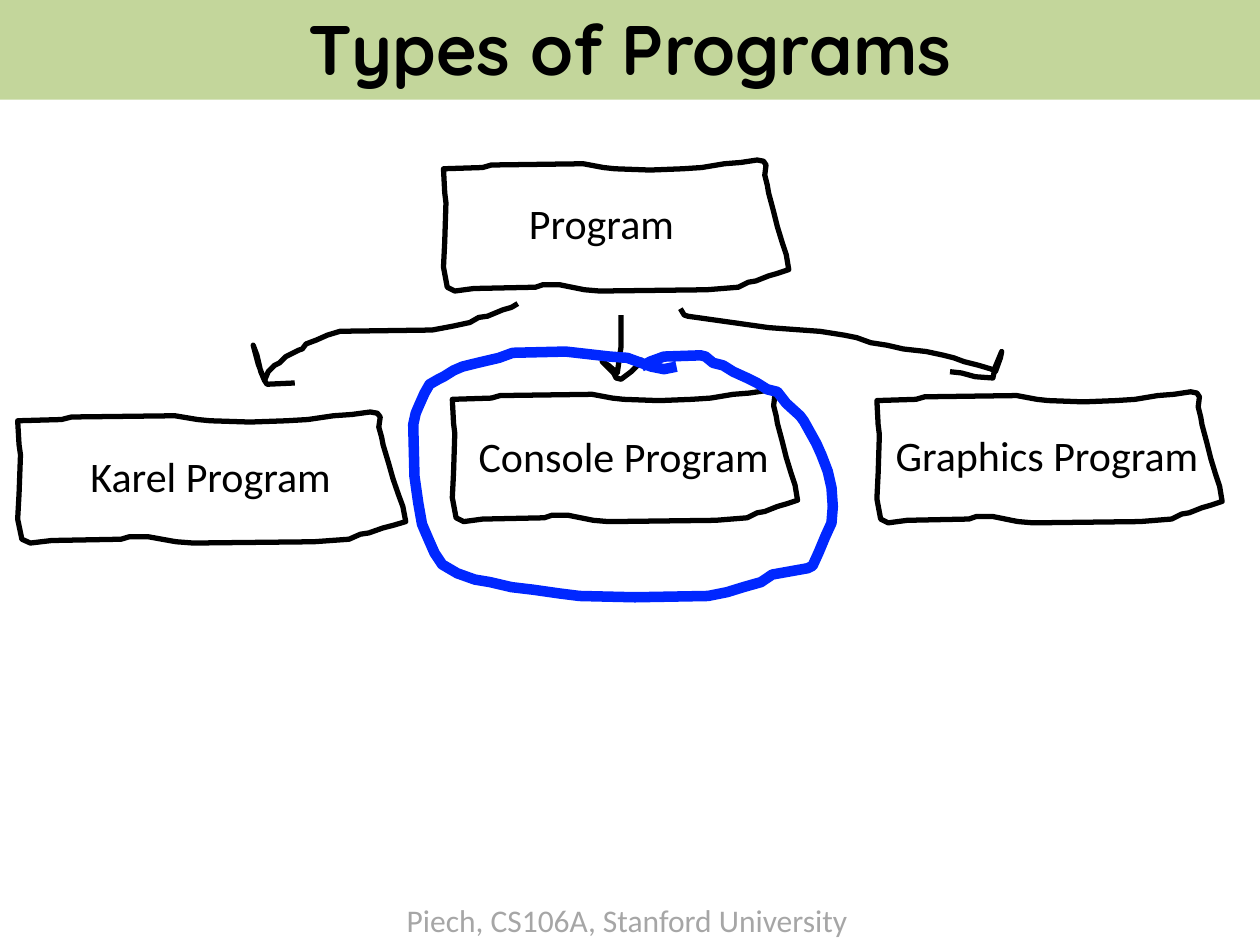
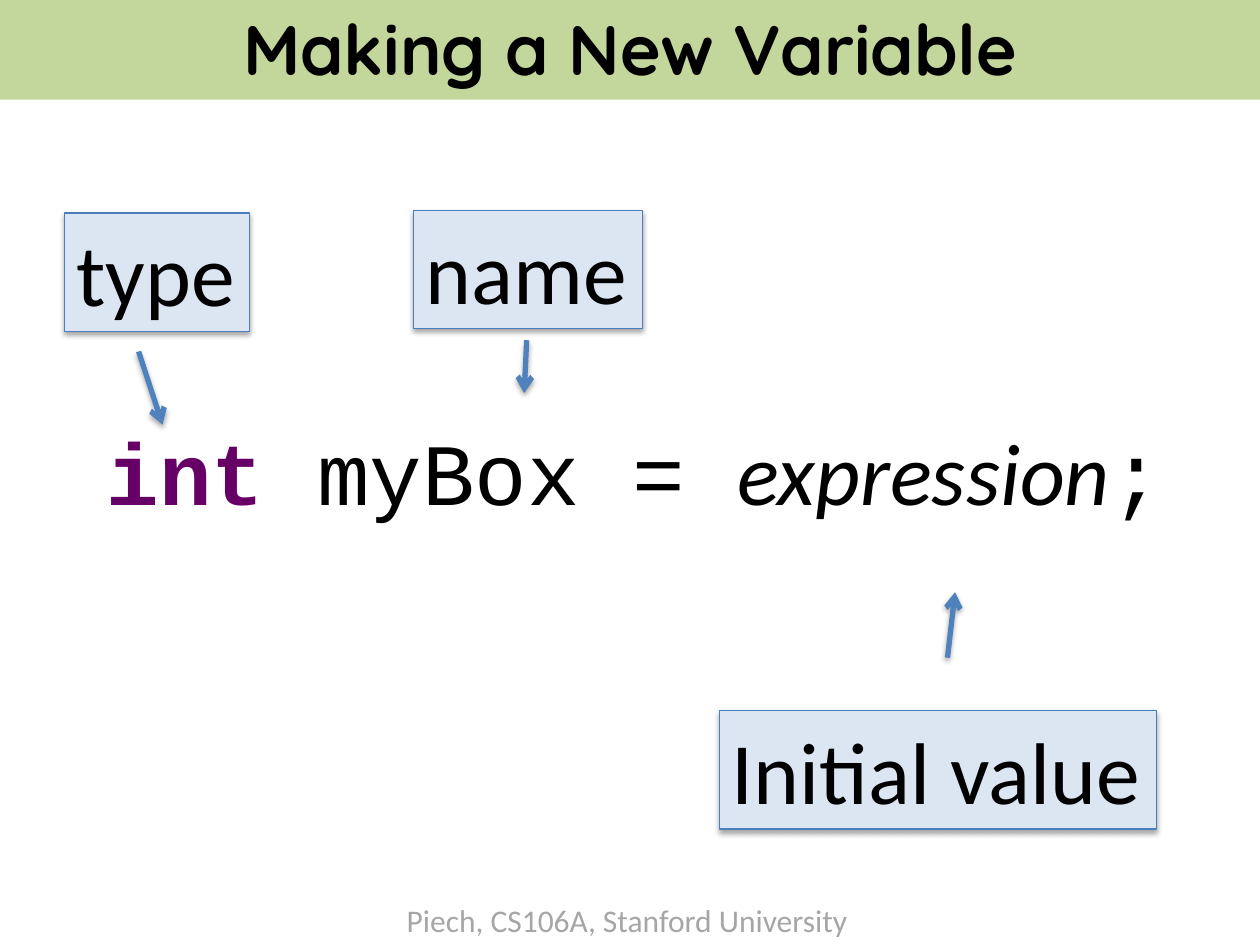
from lxml import etree
from pptx import Presentation
from pptx.dml.color import RGBColor
from pptx.enum.shapes import MSO_CONNECTOR, MSO_SHAPE
from pptx.enum.text import MSO_ANCHOR, MSO_AUTO_SIZE, PP_ALIGN
from pptx.oxml.ns import qn
from pptx.util import Inches, Pt

STRAIGHT = MSO_CONNECTOR.STRAIGHT
RECTANGLE = MSO_SHAPE.RECTANGLE
MIDDLE, TOP = MSO_ANCHOR.MIDDLE, MSO_ANCHOR.TOP
CENTER, LEFT = PP_ALIGN.CENTER, PP_ALIGN.LEFT
GROW, FIXED = MSO_AUTO_SIZE.SHAPE_TO_FIT_TEXT, MSO_AUTO_SIZE.NONE

COLORS = {
    "band": "C3D69B",
    "ink": "000000",
    "footer": "A6A6A6",
    "highlight": "0027FF",
    "keyword": "660066",
    "callout": "DCE6F2",
    "callout_edge": "4B7EBC",
    "arrow": "4F81BD",
}
RGB = {name: RGBColor.from_string(value) for name, value in COLORS.items()}
BODY, CODE, HEADING = "Calibri", "Courier New", "Quicksand"


def write_line(shape, runs, size, frame_format):
    """Fill a shape with one paragraph; runs are (text, font, colour, styles)."""
    frame = shape.text_frame
    for attribute, value in frame_format.items():
        setattr(frame, attribute, value)
    paragraph = frame.paragraphs[0]
    paragraph.alignment = CENTER if frame_format is TITLE_FRAME else LEFT
    for text, font_name, color, styles in runs:
        run = paragraph.add_run()
        run.text = text
        run.font.color.rgb = RGB[color]
        font_format = {"name": font_name, "size": Pt(size), **styles}
        for attribute, value in font_format.items():
            setattr(run.font, attribute, value)


def draw_stroke(slide, points, color, width, close=False):
    """Draw a pen stroke through points given in inches."""
    start, *rest = [(Inches(x), Inches(y)) for x, y in points]
    builder = slide.shapes.build_freeform(*start)
    builder.add_line_segments(rest, close=close)
    stroke = builder.convert_to_shape()
    stroke.shadow.inherit = False
    stroke.fill.background()
    stroke.line.color.rgb = RGB[color]
    stroke.line.width = Pt(width)


TITLE_FRAME = {"vertical_anchor": MIDDLE, "word_wrap": True, "auto_size": FIXED}
LABEL_FRAME = {"vertical_anchor": TOP, "word_wrap": False, "auto_size": GROW}

prs = Presentation()
prs.slide_width, prs.slide_height = Inches(10), Inches(7.5)

# Shared title band and footer
slides = []
for heading in ("Types of Programs", "Making a New Variable"):
    slide = prs.slides.add_slide(prs.slide_layouts[5])
    title = slide.shapes.title
    title.left, title.top = Inches(0), Inches(-0.03)
    title.width, title.height = Inches(10), Inches(0.82)
    title.fill.solid()
    title.fill.fore_color.rgb = RGB["band"]
    write_line(title, [(heading, HEADING, "ink", {"bold": True})], 40, TITLE_FRAME)
    footer = slide.shapes.add_textbox(
        Inches(3.13), Inches(7.1), Inches(3.74), Inches(0.4))
    write_line(footer, [("Piech, CS106A, Stanford University", BODY, "footer", {})],
               18, LABEL_FRAME)
    slides.append(slide)
types_slide, variable_slide = slides

# Types of Programs: hand-drawn class boxes, all sharing one outline
OUTLINE_WIDTH = 2.74
BOX_OUTLINE = [
    (1.9, 0.07), (1.64, 0.08), (1.36, 0.07), (1.27, 0.06), (1.11, 0.03),
    (0.38, 0.04), (0.31, 0.06), (0, 0.07), (0.01, 0.26), (0.02, 0.34),
    (0.01, 0.65), (0, 0.85), (0.03, 1.01), (0.09, 1.04), (0.24, 1.02),
    (0.73, 1.01), (0.79, 0.99), (0.92, 0.99), (1.07, 1.02), (1.12, 1.03),
    (1.24, 1.04), (2.09, 1.03), (2.34, 1.01), (2.42, 0.97), (2.48, 0.96),
    (2.58, 0.92), (2.65, 0.9), (2.74, 0.87), (2.72, 0.75), (2.69, 0.66),
    (2.65, 0.53), (2.62, 0.41), (2.58, 0.26), (2.57, 0.2), (2.55, 0.12),
    (2.56, 0.04), (2.54, 0.01), (2.49, 0), (2.36, 0.02), (2.23, 0.03),
    (2.05, 0.06),
]
# name, box left, top, width, then label left, top, width
program_boxes = [
    ("Graphics Program", 6.96, 3.11, 2.74, 7.01, 3.36, 2.63),
    ("Console Program", 3.59, 3.1, 2.74, 3.7, 3.37, 2.52),
    ("Karel Program", 0.14, 3.27, 3.08, 0.62, 3.53, 2.13),
    ("Program", 3.52, 1.27, 2.74, 4.1, 1.52, 1.36),
]
for name, left, top, width, label_left, label_top, label_width in program_boxes:
    stretch = width / OUTLINE_WIDTH
    outline = [(left + x * stretch, top + y) for x, y in BOX_OUTLINE]
    draw_stroke(types_slide, outline, "ink", 3, close=True)
    label = types_slide.shapes.add_textbox(
        Inches(label_left), Inches(label_top), Inches(label_width), Inches(0.5))
    write_line(label, [(name, BODY, "ink", {})], 24, LABEL_FRAME)

arrow_to_karel = [
    (4.11, 2.41), (4.06, 2.44), (3.99, 2.46), (3.87, 2.51), (3.8, 2.52),
    (3.73, 2.56), (3.59, 2.59), (3.43, 2.62), (2.7, 2.63), (2.6, 2.66),
    (2.51, 2.7), (2.43, 2.73), (2.4, 2.77), (2.37, 2.78), (2.27, 2.83),
    (2.22, 2.88), (2.18, 2.9), (2.13, 2.95), (2.1, 3.02), (2.07, 2.95),
    (2.04, 2.82), (2.01, 2.74), (2.05, 2.89), (2.1, 3.02), (2.12, 3.05),
    (2.34, 3.04),
]
arrow_to_console = [
    (4.93, 2.5), (4.93, 2.75), (4.9, 2.96), (4.83, 2.9), (4.78, 2.87),
    (4.87, 2.96), (4.89, 3), (4.93, 3.01), (5.01, 2.95), (5.06, 2.9),
    (5.11, 2.85),
]
arrow_to_graphics = [
    (5.4, 2.45), (5.43, 2.5), (5.46, 2.51), (6.1, 2.6), (6.51, 2.63),
    (6.7, 2.66), (6.8, 2.68), (6.91, 2.72), (7.04, 2.74), (7.17, 2.77),
    (7.35, 2.79), (7.49, 2.82), (7.57, 2.84), (7.65, 2.87), (7.77, 2.9),
    (7.87, 2.93), (7.9, 2.95), (7.94, 2.84), (7.95, 2.79), (7.9, 2.91),
    (7.88, 3), (7.74, 2.99), (7.63, 2.96), (7.54, 2.95),
]
for arrow_path in (arrow_to_karel, arrow_to_console, arrow_to_graphics):
    draw_stroke(types_slide, arrow_path, "ink", 3)

console_circle = [
    (5.37, 2.91), (5.27, 2.93), (5.17, 2.91), (4.98, 2.84), (4.84, 2.83),
    (4.49, 2.79), (4.07, 2.8), (3.96, 2.84), (3.79, 2.88), (3.67, 2.91),
    (3.6, 2.94), (3.52, 2.99), (3.48, 3.01), (3.41, 3.05), (3.37, 3.12),
    (3.33, 3.21), (3.3, 3.28), (3.28, 3.37), (3.29, 3.78), (3.32, 3.99),
    (3.35, 4.16), (3.38, 4.23), (3.41, 4.3), (3.45, 4.39), (3.51, 4.48),
    (3.63, 4.55), (3.77, 4.6), (3.89, 4.62), (4.06, 4.66), (4.23, 4.68),
    (4.44, 4.71), (4.6, 4.73), (5.04, 4.74), (5.62, 4.73), (5.77, 4.7),
    (5.9, 4.66), (6.04, 4.62), (6.13, 4.56), (6.24, 4.54), (6.41, 4.51),
    (6.45, 4.49), (6.5, 4.38), (6.55, 4.26), (6.6, 4.15), (6.61, 4.02),
    (6.6, 3.87), (6.57, 3.74), (6.52, 3.61), (6.48, 3.52), (6.38, 3.34),
    (6.35, 3.3), (6.24, 3.2), (6.17, 3.11), (6.09, 3.09), (6.01, 3.04),
    (5.93, 3), (5.82, 2.95), (5.74, 2.9), (5.66, 2.88), (5.6, 2.83),
    (5.56, 2.82), (5.27, 2.83), (5.16, 2.87), (5.09, 2.91),
]
draw_stroke(types_slide, console_circle, "highlight", 6)

# Making a New Variable: a declaration with a callout for each part
declaration = variable_slide.shapes.add_textbox(
    Inches(0.75), Inches(3.27), Inches(8.66), Inches(1.78))
write_line(declaration, [
    ("int ", CODE, "keyword", {"bold": True}),
    ("myBox = ", CODE, "ink", {}),
    ("expression", BODY, "ink", {"italic": True}),
    (";", CODE, "ink", {}),
], 50, LABEL_FRAME)

# text, left, top, width, arrow start, arrow end
callouts = [
    ("name", 3.28, 1.67, 1.82, (4.18, 2.7), (4.16, 3.12)),
    ("type", 0.51, 1.69, 1.47, (1.1, 2.79), (1.29, 3.37)),
    ("Initial value", 5.71, 5.64, 3.47, (7.52, 5.22), (7.58, 4.7)),
]
for part, left, top, width, start, end in callouts:
    callout = variable_slide.shapes.add_shape(
        RECTANGLE, Inches(left), Inches(top), Inches(width), Inches(0.94))
    callout.fill.solid()
    callout.fill.fore_color.rgb = RGB["callout"]
    callout.line.color.rgb = RGB["callout_edge"]
    callout.line.width = Pt(0.75)
    write_line(callout, [(part, BODY, "ink", {})], 50, LABEL_FRAME)

    arrow = variable_slide.shapes.add_connector(
        STRAIGHT, *(Inches(value) for value in start + end))
    arrow.line.color.rgb = RGB["arrow"]
    arrow.line.width = Pt(3)
    etree.SubElement(arrow.element.spPr.find(qn("a:ln")), qn("a:tailEnd"), type="arrow")

    for shadowed in (callout, arrow):
        effects = etree.SubElement(shadowed.element.spPr, qn("a:effectLst"))
        shadow = etree.SubElement(
            effects, qn("a:outerShdw"), blurRad=str(Pt(3.1)), dist=str(Pt(1.8)),
            dir="5400000", rotWithShape="0")
        shade = etree.SubElement(shadow, qn("a:srgbClr"), val=COLORS["ink"])
        etree.SubElement(shade, qn("a:alpha"), val="35000")

prs.save("out.pptx")
